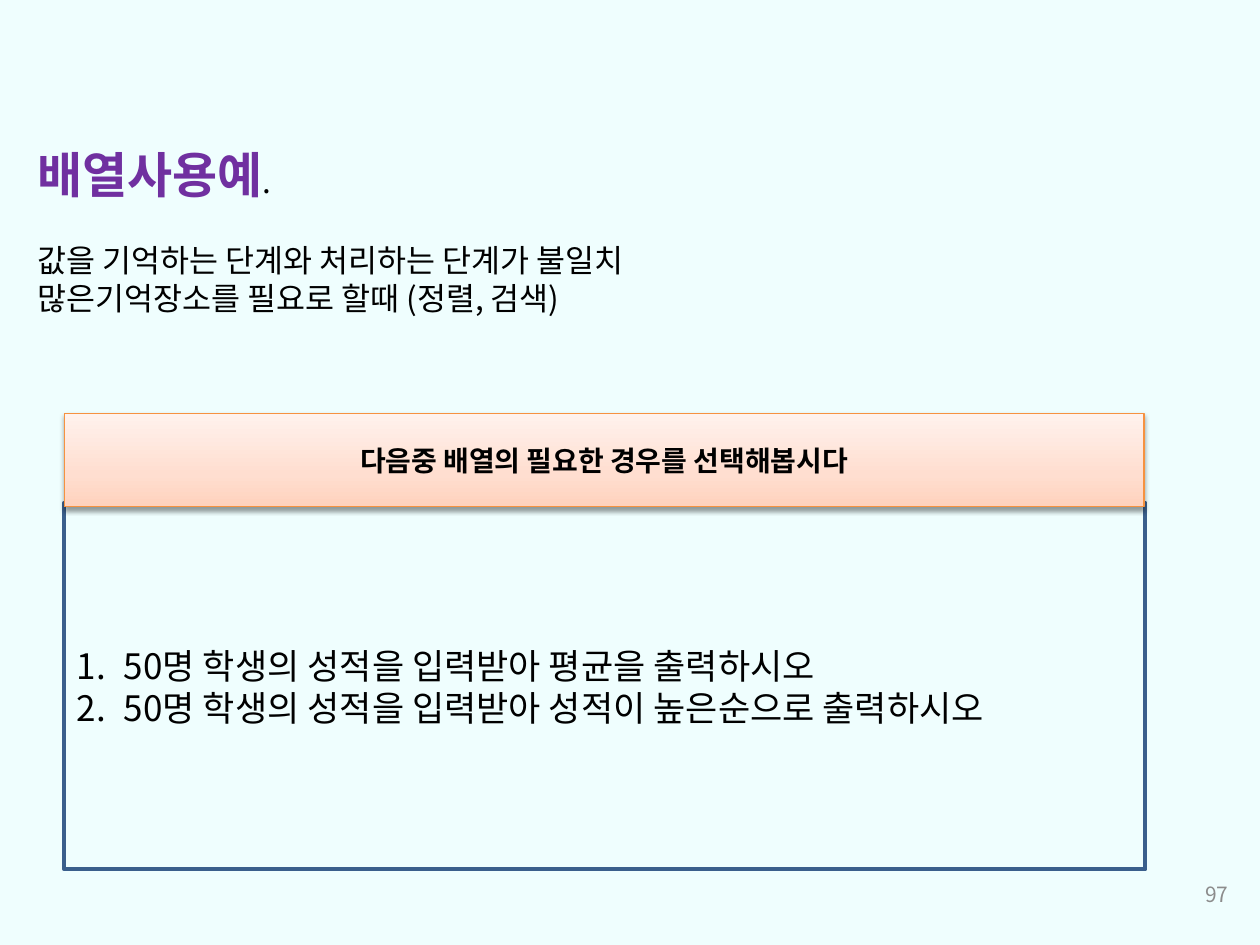
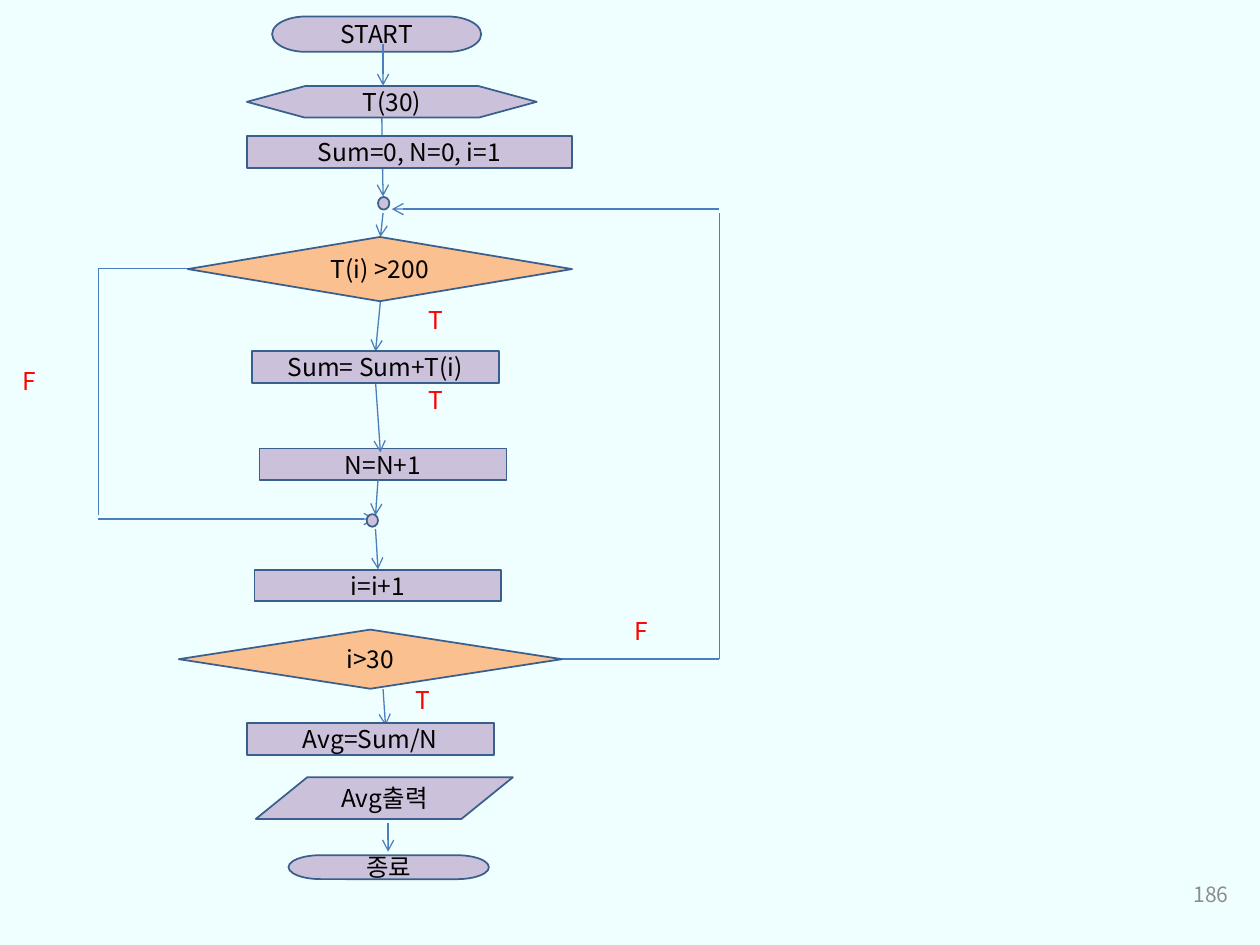
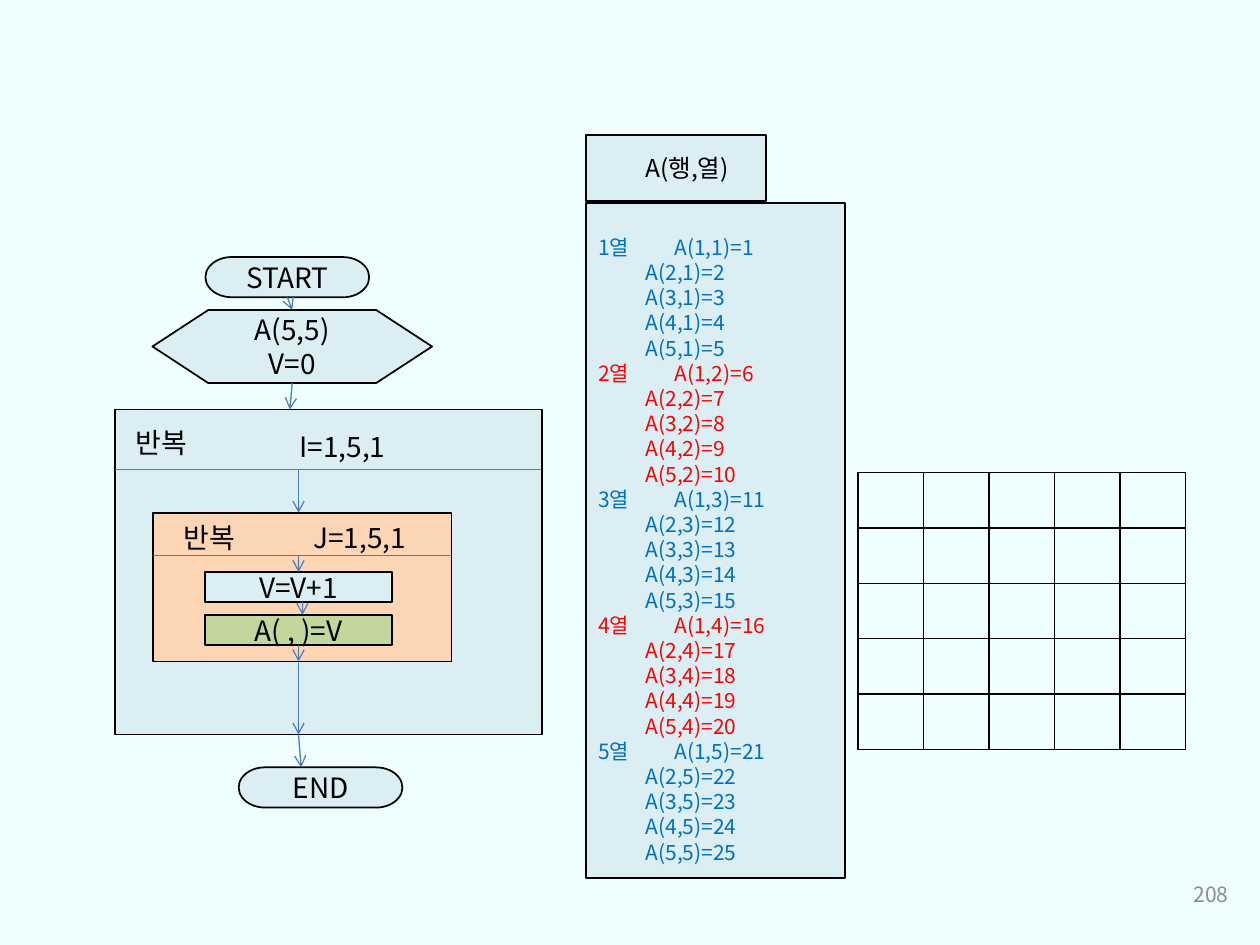
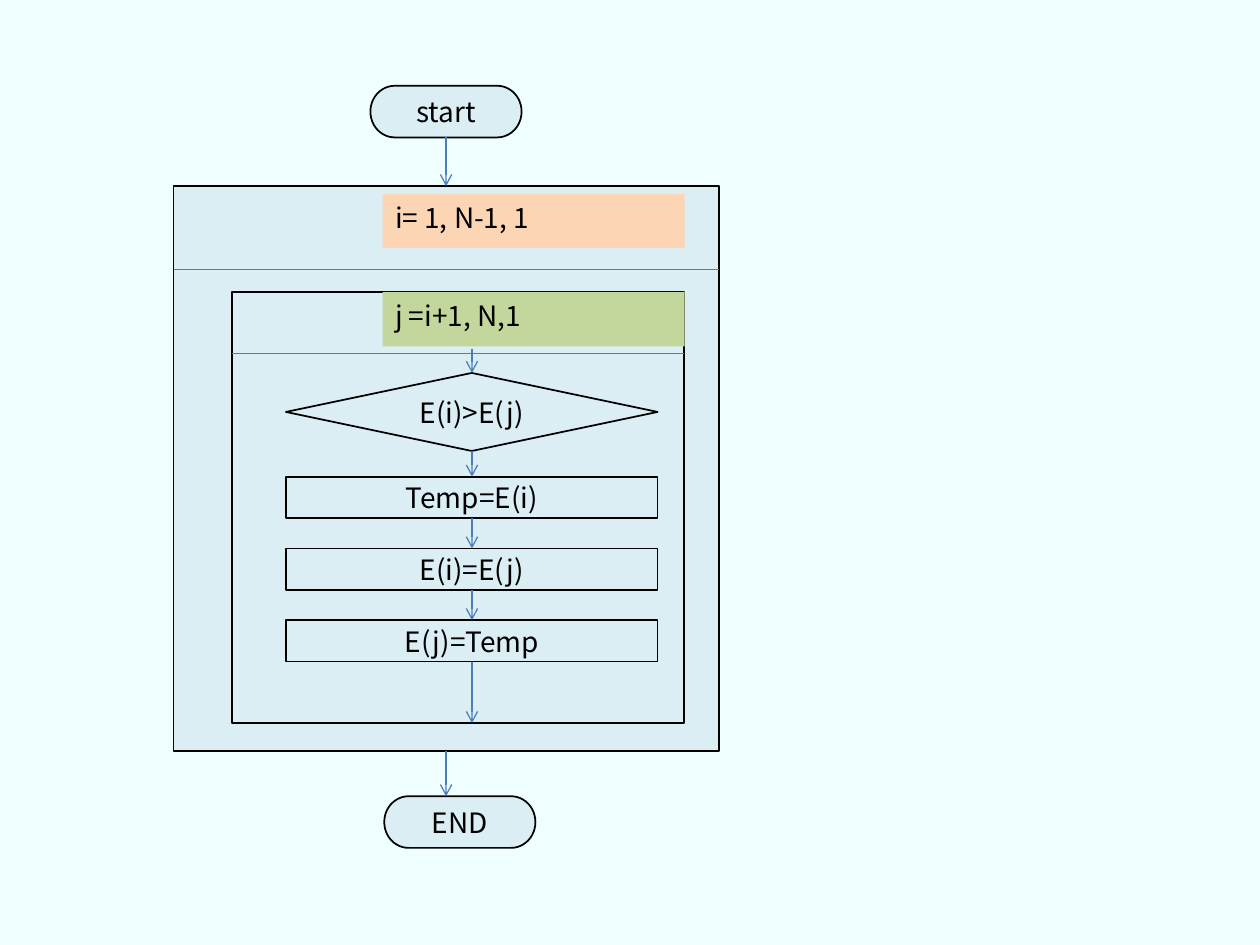
from copy import deepcopy
from dataclasses import dataclass

from pptx import Presentation
from pptx.dml.color import RGBColor
from pptx.enum.shapes import MSO_CONNECTOR as Connector, MSO_SHAPE as Preset
from pptx.enum.text import MSO_ANCHOR as Anchor, PP_ALIGN as Align
from pptx.oxml import parse_xml
from pptx.oxml.ns import nsdecls, qn
from pptx.oxml.xmlchemy import OxmlElement
from pptx.util import Pt


@dataclass(frozen=True)
class Theme:
    font: str = "Noto Sans CJK KR"
    page: str = "EFFEFE"
    ink: str = "000000"
    purple: str = "7030A0"
    red: str = "FF0000"
    blue: str = "0070C0"
    grey: str = "8C8C8C"
    navy: str = "3A5F8C"
    wire: str = "4B7EBC"
    orange_line: str = "F69240"
    lilac: str = "CCC1DA"
    orange: str = "FAC090"
    sky: str = "DBEEF4"
    peach: str = "FCD5B5"
    green: str = "C3D69B"
    gradient: tuple = ((0, "FFD2BD"), (0.35, "FFDED0"), (1, "FFF2ED"))
    title: int = 28
    body: int = 18
    task: int = 20
    flow: int = 16
    small: int = 14
    note: int = 12
    leading: float = 1.2


THEME = Theme()


def rgb(color):
    return RGBColor.from_string(color)


def assign(target, **values):
    for name, value in values.items():
        setattr(target, name, value)


def child(parent, tag, **attributes):
    element = OxmlElement(tag)
    for name, value in attributes.items():
        element.set(name, str(value))
    parent.append(element)
    return element


class Deck:
    def __init__(self, theme):
        self.theme = theme
        self.deck = Presentation()
        assign(self.deck, slide_width=Pt(720), slide_height=Pt(540))
        background = self.deck.slide_master.background.fill
        background.solid()
        background.fore_color.rgb = rgb(theme.page)
        self.page = None

    def new_page(self, number=None):
        self.page = self.deck.slides.add_slide(self.deck.slide_layouts[6])
        if number:
            self.text((541.4, 496.8, 167.8, 28.8), [number], self.theme.note,
                      color=self.theme.grey, align=Align.RIGHT, anchor=Anchor.MIDDLE)

    def span(self, para, text, size, color, bold=False):
        run = para.add_run()
        run.text = text
        assign(run.font, name=self.theme.font, size=Pt(size), bold=bold)
        run.font.color.rgb = rgb(color)
        child(run.font._element, "a:ea", typeface=self.theme.font)

    def lines(self, box, lines, size, color=None, align=Align.LEFT, anchor=Anchor.TOP, bold=False):
        frame = box.text_frame
        assign(frame, word_wrap=True, vertical_anchor=anchor)
        for index, line in enumerate(lines):
            para = frame.add_paragraph() if index else frame.paragraphs[0]
            assign(para, alignment=align, line_spacing=Pt(size * self.theme.leading))
            self.span(para, line, size, color or self.theme.ink, bold)
        return frame

    def text(self, area, lines, size, **style):
        box = self.page.shapes.add_textbox(*map(Pt, area))
        return self.lines(box, lines, size, **style)

    def shape(self, preset, area, fill=None, line=None, width=1.0):
        shape = self.page.shapes.add_shape(preset, *map(Pt, area))
        shape.shadow.inherit = False
        if fill:
            shape.fill.solid()
            shape.fill.fore_color.rgb = rgb(fill)
        else:
            shape.fill.background()
        if line:
            shape.line.color.rgb = rgb(line)
            shape.line.width = Pt(width)
        else:
            shape.line.fill.background()
        return shape

    def step(self, preset, area, lines, fill, line, size):
        shape = self.shape(preset, area, fill, line)
        return self.lines(shape, lines, size, align=Align.CENTER, anchor=Anchor.MIDDLE)

    def wire(self, x1, y1, x2, y2, arrow=False):
        wire = self.page.shapes.add_connector(Connector.STRAIGHT, *map(Pt, (x1, y1, x2, y2)))
        wire.line.color.rgb = rgb(self.theme.wire)
        wire.line.width = Pt(0.75)
        if arrow:
            child(wire._element.spPr.find(qn("a:ln")), "a:tailEnd", type="arrow")
        child(wire._element.spPr, "a:effectLst")

    def arrow(self, *ends):
        self.wire(*ends, arrow=True)

    def banner(self, area, text):
        shape = self.shape(Preset.RECTANGLE, area, line=self.theme.orange_line, width=0.75)
        shape.fill.gradient()
        shape.fill.gradient_angle = 90
        stops = shape._element.spPr.find(".//" + qn("a:gsLst"))
        stops.append(deepcopy(stops[-1]))
        for stop, (position, color) in zip(shape.fill.gradient_stops, self.theme.gradient):
            stop.position = position
            stop.color.rgb = rgb(color)
        effects = shape._element.spPr.find(qn("a:effectLst"))
        shadow = child(effects, "a:outerShdw", blurRad=Pt(3.1), dist=Pt(1.6), dir=5400000, rotWithShape=0)
        child(child(shadow, "a:srgbClr", val=self.theme.ink), "a:alpha", val=38000)
        self.lines(shape, [text], self.theme.flow, align=Align.CENTER, anchor=Anchor.MIDDLE, bold=True)

    def grid(self, area, rows, columns):
        table = self.page.shapes.add_table(rows, columns, *map(Pt, area)).table
        assign(table, first_row=False, horz_banding=False)
        for cell in table.iter_cells():
            assign(cell, margin_top=0, margin_bottom=0)
            properties = cell._tc.get_or_add_tcPr()
            for side in ("lnL", "lnR", "lnT", "lnB"):
                properties.append(parse_xml(
                    f'<a:{side} {nsdecls("a")} w="{Pt(1)}"><a:solidFill>'
                    f'<a:srgbClr val="{self.theme.ink}"/></a:solidFill></a:{side}>'))
            cell.fill.background()


def array_usage(deck):
    theme = deck.theme
    deck.new_page("97")
    frame = deck.text((14.4, 79.2, 601.2, 106.6), ["배열사용예"], theme.title, color=theme.purple, bold=True)
    deck.span(frame.paragraphs[0], ".", theme.body, theme.ink)
    leading = Pt(theme.body * theme.leading)
    for line, gap in (("값을 기억하는 단계와 처리하는 단계가 불일치", leading),
                      ("많은기억장소를 필요로 할때 (정렬, 검색)", 0)):
        para = frame.add_paragraph()
        assign(para, line_spacing=leading, space_before=gap)
        deck.span(para, line, theme.body, theme.ink)

    tasks = deck.shape(Preset.RECTANGLE, (36.7, 287.3, 617.8, 209.5), line=theme.navy, width=2.25)
    frame = deck.lines(tasks, ["50명 학생의 성적을 입력받아 평균을 출력하시오",
                               "50명 학생의 성적을 입력받아 성적이 높은순으로 출력하시오"],
                       theme.task, anchor=Anchor.MIDDLE)
    for para in frame.paragraphs:
        properties = para._p.get_or_add_pPr()
        properties.set("marL", str(Pt(27)))
        properties.set("indent", str(Pt(-27)))
        child(properties, "a:buAutoNum", type="arabicPeriod")
    deck.banner((36.7, 236.2, 617, 53.3), "다음중 배열의 필요한 경우를 선택해봅시다")


def average_flow(deck):
    theme = deck.theme
    deck.new_page("186")

    def step(preset, area, text, fill=theme.lilac):
        deck.step(preset, area, [text], fill, theme.navy, theme.small)

    def process(left, top, text, width=141.1):
        step(Preset.FLOWCHART_PROCESS, (left, top, width, 18), text)

    step(Preset.FLOWCHART_TERMINATOR, (155.5, 9.4, 119.5, 20.2), "START")
    process(148.3, 256.3, "N=N+1")

    for ends in ((218.9, 25.2, 218.9, 49), (218.2, 67, 218.9, 112.3),
                 (218.9, 121.7, 217.4, 135.4), (217.4, 172.1, 214.6, 200.9),
                 (214.6, 218.2, 217.4, 258.5), (216, 274.3, 214.6, 294.5),
                 (56.2, 296.6, 214.6, 296.6), (214.6, 302.4, 216, 325.4),
                 (218.9, 393.8, 220.3, 414.7), (221.8, 470.2, 221.8, 486.7),
                 (411.1, 119.5, 223.9, 119.5)):
        deck.arrow(*ends)
    for ends in ((107.3, 153.4, 56.2, 153.4), (56.2, 153.4, 56.2, 294.5),
                 (321.1, 376.6, 411.1, 376.6), (411.1, 376.6, 411.1, 121.7)):
        deck.wire(*ends)

    step(Preset.FLOWCHART_PREPARATION, (141.1, 49.2, 165.6, 18), "T(30)")
    process(141.1, 77.8, "Sum=0, N=0, i=1", width=185.8)
    step(Preset.FLOWCHART_DECISION, (107.3, 135.4, 219.6, 36.7), "T(i) >200", theme.orange)
    process(144, 200.7, "Sum= Sum+T(i)")
    process(145.4, 325.6, "i=i+1")
    step(Preset.FLOWCHART_DECISION, (102.2, 359.8, 218.9, 33.8), "i>30", theme.orange)
    process(141.1, 413.3, "Avg=Sum/N")
    step(Preset.FLOWCHART_DATA, (146.2, 444.2, 146.9, 23.8), "Avg출력")
    step(Preset.FLOWCHART_TERMINATOR, (164.9, 488.7, 114.5, 13.7), "종료")
    for left, top in ((216, 112.6), (209.5, 293.8)):
        deck.shape(Preset.FLOWCHART_CONNECTOR, (left, top, 6.5, 7.2), theme.lilac, theme.navy)
    for left, top, answer in ((237.6, 170.6, "T"), (237.6, 216.7, "T"), (230.4, 388.1, "T"),
                              (5.8, 205.9, "F"), (355.7, 348.5, "F")):
        deck.text((left, top, 50.4, 28), [answer], theme.small, color=theme.red)


def fill_array(deck):
    theme = deck.theme
    deck.new_page("208")

    def step(preset, area, lines, fill=theme.sky):
        deck.step(preset, area, lines, fill, theme.ink, theme.flow)

    deck.shape(Preset.RECTANGLE, (65.5, 234, 244.1, 185.8), theme.sky, theme.ink)
    deck.shape(Preset.RECTANGLE, (87.5, 293, 170.6, 85), theme.peach, theme.ink)
    deck.wire(65.5, 268.4, 309, 268.4)
    deck.wire(87.5, 317.4, 258, 317.4)
    step(Preset.FLOWCHART_TERMINATOR, (117.4, 146.9, 93.6, 23), ["START"])
    step(Preset.FLOWCHART_PREPARATION, (87.1, 177.1, 159.8, 41.8), ["A(5,5)", "V=0"])
    step(Preset.FLOWCHART_TERMINATOR, (136.4, 438.5, 93.6, 23), ["END"])
    step(Preset.RECTANGLE, (117.2, 326.9, 106.6, 17.3), ["V=V+1"])
    step(Preset.RECTANGLE, (117.2, 351.4, 106.6, 17.3), ["A( , )=V"], theme.green)
    for left, top, width, label in ((164.2, 241.9, 131.8, "I=1,5,1"), (172.1, 293.8, 131.8, "J=1,5,1"),
                                    (70.6, 239.8, 66.2, "반복"), (97.9, 293.8, 66.2, "반복")):
        deck.text((left, top, width, 30.2), [label], theme.flow)
    for ends in ((164.2, 169.9, 167, 177.1), (167, 218.9, 165.6, 234),
                 (170.6, 268.6, 170.6, 293), (170.6, 317.5, 170.6, 326.9),
                 (172.8, 344.2, 172.8, 351.4), (170.6, 368.6, 170.6, 378),
                 (170.6, 378, 170.6, 419.8), (170.6, 419.8, 172.1, 438.5)):
        deck.arrow(*ends)

    listing = deck.shape(Preset.RECTANGLE, (334.8, 115.9, 148.3, 385.9), theme.sky, theme.ink)
    cells = [(row, column) for column in range(1, 6) for row in range(1, 6)]
    lines = [(f"{column}열\t" if row == 1 else "") + f"A({row},{column})={value}"
             for value, (row, column) in enumerate(cells, 1)]
    frame = deck.lines(listing, lines, theme.note)
    frame.margin_top = Pt(18)
    for para, (row, column) in zip(frame.paragraphs, cells):
        properties = para._p.get_or_add_pPr()
        if row == 1:
            child(child(properties, "a:tabLst"), "a:tab", pos=Pt(43.5), algn="l")
        else:
            properties.set("marL", str(Pt(27)))
        para.runs[0].font.color.rgb = rgb(theme.blue if column % 2 else theme.red)

    deck.grid((490.3, 270, 187.2, 158.4), 5, 5)
    header = deck.step(Preset.RECTANGLE, (334.8, 77, 103, 37.8), ["A(행,열)"],
                       theme.sky, theme.ink, theme.small)
    header.margin_left = Pt(19.7)


def sort_flow(deck):
    theme = deck.theme
    deck.new_page()

    def step(preset, area, text):
        deck.step(preset, area, [text], theme.sky, theme.ink, theme.flow)

    deck.shape(Preset.RECTANGLE, (99.2, 106.4, 311.8, 322.6), theme.sky, theme.ink)
    deck.shape(Preset.RECTANGLE, (132.5, 167, 258.5, 246.2), theme.sky, theme.ink)
    deck.wire(99.2, 154, 411, 154)
    deck.wire(132.5, 202, 391, 202)
    for top, label, fill in ((110.9, "i= 1, N-1, 1", theme.peach), (167, "j =i+1, N,1", theme.green)):
        bar = deck.shape(Preset.RECTANGLE, (218.7, top, 172.5, 31), fill)
        deck.lines(bar, [label], theme.flow)
    step(Preset.FLOWCHART_TERMINATOR, (211.7, 49, 86.4, 29.5), "start")
    step(Preset.FLOWCHART_TERMINATOR, (219.6, 455, 86.4, 29.5), "END")
    step(Preset.FLOWCHART_DECISION, (163.4, 213.1, 212.4, 44.6), "E(i)>E(j)")
    for index, label in enumerate(("Temp=E(i)", "E(i)=E(j)", "E(j)=Temp")):
        step(Preset.RECTANGLE, (163.4, 272.4 + 41 * index, 212.4, 23.6), label)
    for x, top, bottom in ((254.9, 78.5, 106.4), (269.7, 199.4, 213.1), (269.7, 257.8, 272.4),
                           (269.7, 296, 313.4), (269.7, 337, 354.4), (269.7, 378, 413.2),
                           (254.9, 429, 455)):
        deck.arrow(x, top, x, bottom)


def main():
    deck = Deck(THEME)
    for build in (array_usage, average_flow, fill_array, sort_flow):
        build(deck)
    deck.deck.save("out.pptx")


if __name__ == "__main__":
    main()
